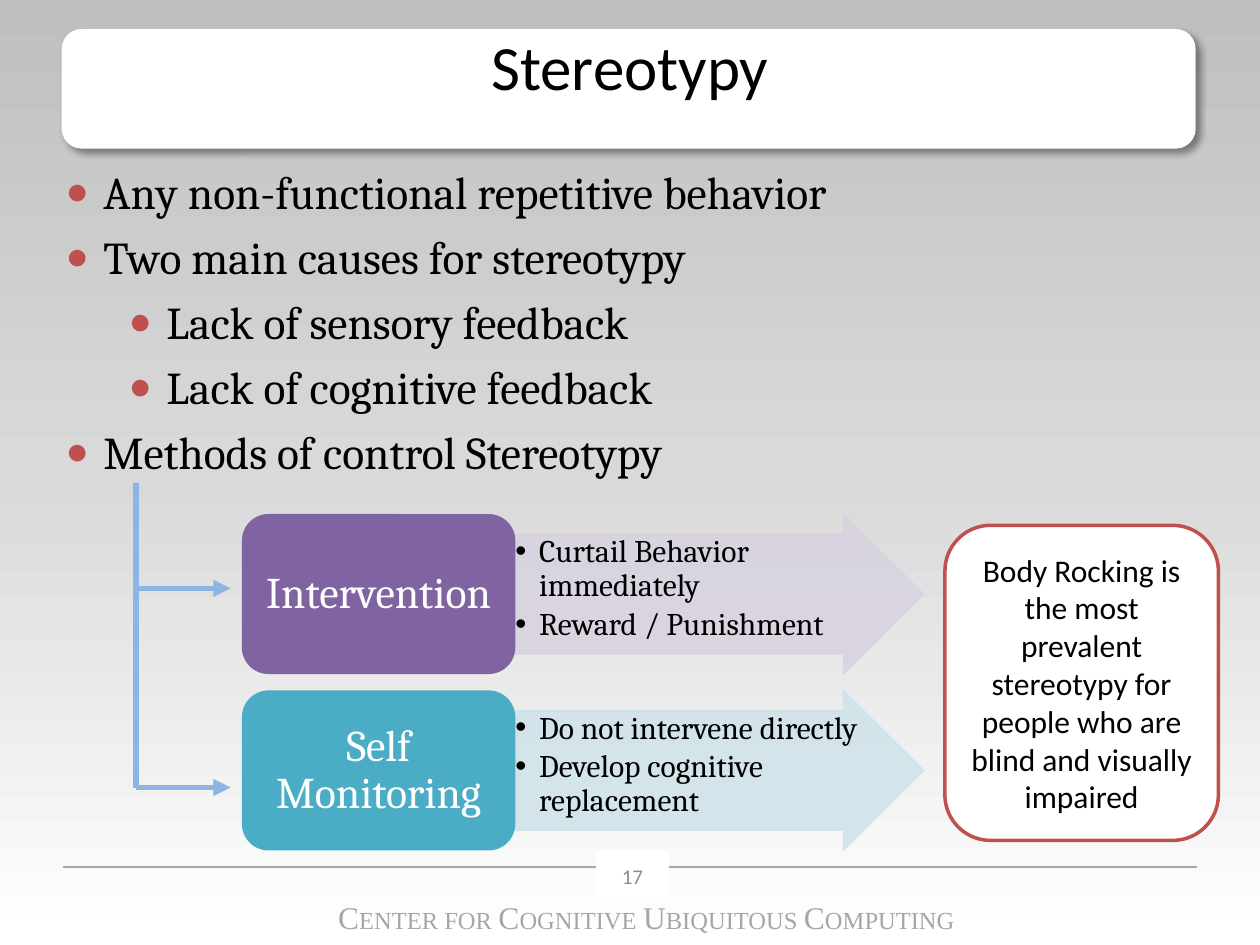
from copy import deepcopy
from dataclasses import dataclass

from lxml.etree import SubElement
from pptx import Presentation
from pptx.dml.color import RGBColor
from pptx.enum.shapes import MSO_CONNECTOR, MSO_SHAPE
from pptx.enum.text import MSO_ANCHOR, MSO_AUTO_SIZE, PP_ALIGN
from pptx.oxml.ns import qn
from pptx.util import Inches, Pt

ROUNDED, RECTANGLE = MSO_SHAPE.ROUNDED_RECTANGLE, MSO_SHAPE.RECTANGLE
ARROW, STRAIGHT = MSO_SHAPE.RIGHT_ARROW, MSO_CONNECTOR.STRAIGHT
TOP, MIDDLE = MSO_ANCHOR.TOP, MSO_ANCHOR.MIDDLE
CENTER, LEFT = PP_ALIGN.CENTER, PP_ALIGN.LEFT
NO_FIT = MSO_AUTO_SIZE.NONE

BLACK, WHITE, RED, BLUE, GREY = "000000", "FFFFFF", "C0504D", "8EB4E3", "A6A6A6"


@dataclass
class Method:
    name: str
    color: str
    tint: str
    top: float
    points: list[str]


METHODS = [
    Method("Intervention", "8064A2", "D8D3E0", 4.08,
           ["Curtail Behavior immediately", "Reward / Punishment"]),
    Method("Self Monitoring", "4BACC6", "D0E3EA", 5.48,
           ["Do not intervene directly", "Develop cognitive replacement"]),
]
OUTLINE = [
    (0, "Any non-functional repetitive behavior"),
    (0, "Two main causes for stereotypy"),
    (1, "Lack of sensory feedback"),
    (1, "Lack of cognitive feedback"),
    (0, "Methods of control Stereotypy"),
]


def rgb(color: str) -> RGBColor:
    return RGBColor.from_string(color)


def set_font(font, name: str, size: float, color: str) -> None:
    font.name, font.size = name, Pt(size)
    font.color.rgb = rgb(color)


def place(shape, left: float, top: float, width: float, height: float) -> None:
    shape.left, shape.top = Inches(left), Inches(top)
    shape.width, shape.height = Inches(width), Inches(height)


def set_bullet(para, char: str, left: float, hang: float,
               color: str = BLACK, percent: int = 100) -> None:
    props = para._p.get_or_add_pPr()
    props.set("marL", str(Inches(left)))
    props.set("indent", str(-Inches(hang)))
    SubElement(SubElement(props, qn("a:buClr")), qn("a:srgbClr"), val=color)
    SubElement(props, qn("a:buSzPct"), val=str(percent * 1000))
    SubElement(props, qn("a:buFont"), typeface="Arial")
    SubElement(props, qn("a:buChar"), char=char)


def add_panel(slide, kind, bounds: tuple, fill: str, line: str = "", width: float = 0):
    panel = slide.shapes.add_shape(kind, *map(Inches, bounds))
    panel.shadow.inherit = False
    panel.fill.solid()
    panel.fill.fore_color.rgb = rgb(fill)
    if line:
        panel.line.color.rgb = rgb(line)
        panel.line.width = Pt(width)
    else:
        panel.line.fill.background()
    return panel


def write(shape, text: str, font: str, size: float, color: str,
          anchor=MIDDLE, align=CENTER) -> None:
    frame = shape.text_frame
    frame.word_wrap, frame.vertical_anchor = True, anchor
    frame.text = text
    for para in frame.paragraphs:
        para.alignment = align
        set_font(para.font, font, size, color)


def add_line(slide, start: tuple, end: tuple, color: str, width: float,
             arrow: bool = False) -> None:
    line = slide.shapes.add_connector(STRAIGHT, *map(Inches, start + end))
    line.line.color.rgb = rgb(color)
    line.line.width = Pt(width)
    if arrow:
        SubElement(line.line._get_or_add_ln(), qn("a:tailEnd"), type="triangle")
    SubElement(line._element.spPr, qn("a:effectLst"))


def set_background(slide) -> None:
    fill = slide.background.fill
    fill.gradient()
    fill.gradient_angle = 270
    stops = slide.element.find(".//" + qn("a:gsLst"))
    stops.insert(1, deepcopy(stops[0]))
    for stop, position, color in zip(fill.gradient_stops, (0, 0.5, 1),
                                     ("BFBFBF", "D9D9D9", WHITE)):
        stop.position = position
        stop.color.rgb = rgb(color)


def add_title_card(slide) -> None:
    card = add_panel(slide, ROUNDED, (0.49, 0.23, 9, 0.95), WHITE)
    effects = card._element.spPr.find(qn("a:effectLst"))
    shadow = SubElement(effects, qn("a:outerShdw"), blurRad=str(Pt(4)),
                        dist=str(Pt(3)), dir="2700000", algn="tl", rotWithShape="0")
    tone = SubElement(shadow, qn("a:srgbClr"), val=BLACK)
    SubElement(tone, qn("a:alpha"), val="40000")


def add_footer(slide) -> None:
    box = slide.shapes.add_textbox(*map(Inches, (2.17, 7.08, 5.92, 0.4)))
    box.text_frame.word_wrap = True
    para = box.text_frame.paragraphs[0]
    para.alignment = CENTER
    for words in ("CENTER FOR ", "COGNITIVE ", "UBIQUITOUS ", "COMPUTING"):
        for text, size in ((words[0], 18), (words[1:], 14)):
            span = para.add_run()
            span.text = text
            set_font(span.font, "Times New Roman", size, GREY)


def fill_outline(body) -> None:
    place(body, 0.42, 1.25, 9.08, 2.75)
    frame = body.text_frame
    frame.auto_size = NO_FIT
    frame.text = "\n".join(text for _, text in OUTLINE)
    for index, (para, (level, _)) in enumerate(zip(frame.paragraphs, OUTLINE)):
        para.level = level
        para.space_before = Pt(6 if index else 0)
        set_bullet(para, "●", 0.3 + 0.5 * level, 0.3, RED, 85)
        set_font(para.font, "Cambria", 26, BLACK)


def add_method(slide, method: Method) -> None:
    # Tinted arrow behind the points
    arrow = add_panel(slide, ARROW, (4.08, method.top, 3.25, 1.27),
                      method.tint, method.tint, 0.75)
    arrow.adjustments[0], arrow.adjustments[1] = 0.75, 0.5
    for tone in arrow._element.spPr.iter(qn("a:srgbClr")):
        SubElement(tone, qn("a:alpha"), val="90000")

    # Points
    box = slide.shapes.add_textbox(*map(Inches, (4.08, method.top + 0.16, 2.77, 0.95)))
    frame = box.text_frame
    frame.margin_left = frame.margin_right = Inches(0.01)
    frame.margin_top = frame.margin_bottom = Inches(0.01)
    write(box, "\n".join(method.points), "Cambria", 18, BLACK, TOP, LEFT)
    for para in frame.paragraphs:
        para.line_spacing, para.space_after = 0.9, Pt(2.7)
        set_bullet(para, "•", 0.19, 0.19)

    # Name
    label = add_panel(slide, ROUNDED, (1.92, method.top, 2.17, 1.27), method.color)
    write(label, method.name, "Cambria", 25, WHITE)
    label.text_frame.paragraphs[0].line_spacing = 0.9


def main() -> None:
    deck = Presentation()
    deck.slide_width, deck.slide_height = Inches(10), Inches(7.5)
    slide = deck.slides.add_slide(deck.slide_layouts[1])
    title, body = slide.placeholders
    set_background(slide)
    add_title_card(slide)
    add_footer(slide)
    add_line(slide, (0.5, 6.88), (9.5, 6.88), GREY, 0.75)

    # Title and outline, raised above the card
    for holder in (title, body):
        slide.shapes._spTree.append(holder._element)
    place(title, 0.5, 0.17, 9, 1)
    title.text_frame.auto_size = NO_FIT
    write(title, "Stereotypy", "Calibri", 36, BLACK, TOP)
    fill_outline(body)

    # Methods and the branch leading to them
    for method in METHODS:
        add_method(slide, method)
    add_line(slide, (1.08, 3.83), (1.08, 6.25), BLUE, 3.25)
    for height in (4.67, 6.25):
        add_line(slide, (1.08, height), (1.83, height), BLUE, 3.25, arrow=True)

    # Page number and callout
    number = add_panel(slide, RECTANGLE, (4.73, 6.75, 0.58, 0.4), WHITE)
    write(number, "17", "Calibri", 12, "8C8C8C")
    callout = add_panel(slide, ROUNDED, (7.5, 4.17, 2.17, 2.5), WHITE, RED, 2)
    write(callout, "Body Rocking is the most prevalent stereotypy for people "
          "who are blind and visually impaired", "Calibri", 18, BLACK)

    deck.save("out.pptx")


if __name__ == "__main__":
    main()
